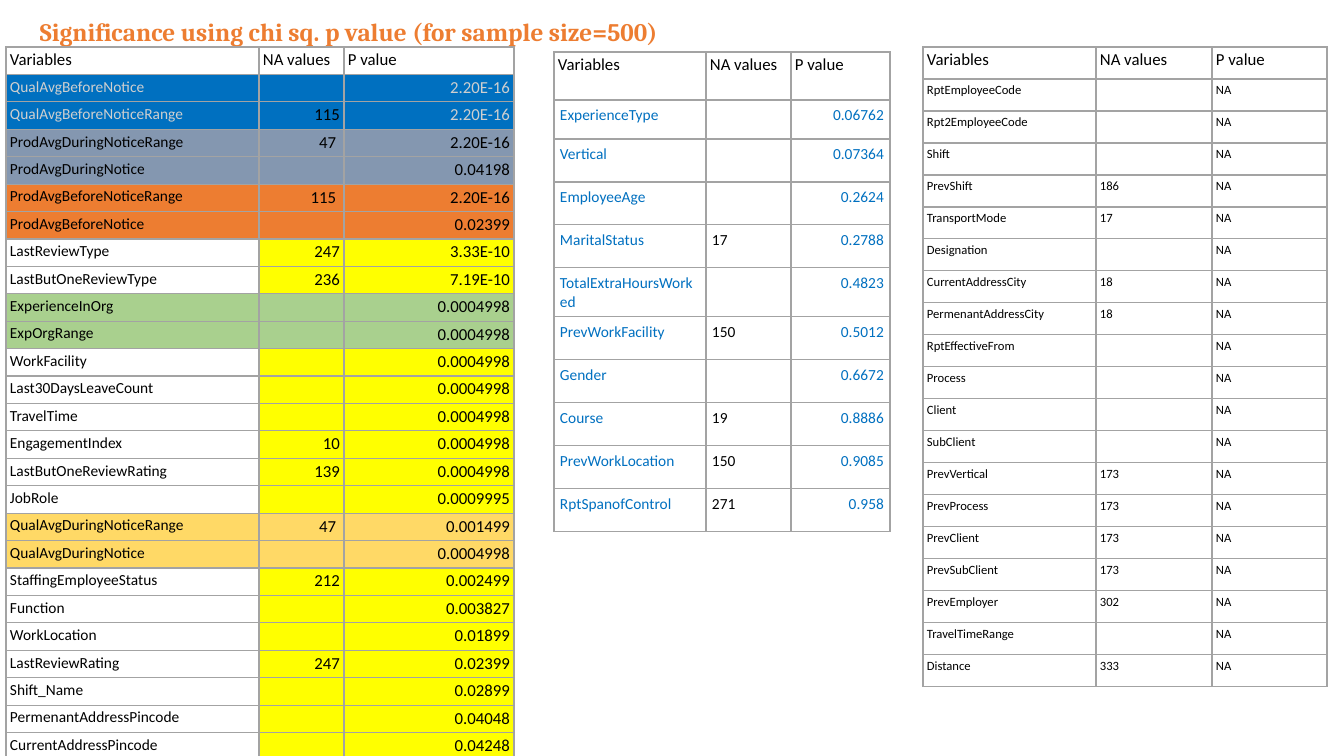
import pptx
import pptx.dml.color
import pptx.enum.text
import pptx.oxml
import pptx.oxml.ns
import pptx.util

PX_PER_INCH = 100.8
COLORS = {
    "black": "000000", "title": "ED7D31", "border": "A3A3A3",
    "pale": "CFCFCF", "blue": "0070C0", "slate": "8497B0",
    "orange": "ED7D31", "yellow": "FFFF00", "green": "A9D08E",
    "gold": "FFD966",
}
LEFT = pptx.enum.text.PP_ALIGN.LEFT
RIGHT = pptx.enum.text.PP_ALIGN.RIGHT
HEADER = ("Variables", "NA values", "P value")

# Name, NA values, p value, row highlight (None: only the numbers, in yellow)
SIGNIFICANT = [
    ("QualAvgBeforeNotice", "", "2.20E-16", "blue"),
    ("QualAvgBeforeNoticeRange", "115", "2.20E-16", "blue"),
    ("ProdAvgDuringNoticeRange", "47 ", "2.20E-16", "slate"),
    ("ProdAvgDuringNotice", "", "0.04198", "slate"),
    ("ProdAvgBeforeNoticeRange", "115 ", "2.20E-16", "orange"),
    ("ProdAvgBeforeNotice", "", "0.02399", "orange"),
    ("LastReviewType", "247", "3.33E-10", None),
    ("LastButOneReviewType", "236", "7.19E-10", None),
    ("ExperienceInOrg", "", "0.0004998", "green"),
    ("ExpOrgRange", "", "0.0004998", "green"),
    ("WorkFacility", "", "0.0004998", None),
    ("Last30DaysLeaveCount", "", "0.0004998", None),
    ("TravelTime", "", "0.0004998", None),
    ("EngagementIndex", "10", "0.0004998", None),
    ("LastButOneReviewRating", "139", "0.0004998", None),
    ("JobRole", "", "0.0009995", None),
    ("QualAvgDuringNoticeRange", "47 ", "0.001499", "gold"),
    ("QualAvgDuringNotice", "", "0.0004998", "gold"),
    ("StaffingEmployeeStatus", "212", "0.002499", None),
    ("Function", "", "0.003827", None),
    ("WorkLocation", "", "0.01899", None),
    ("LastReviewRating", "247", "0.02399", None),
    ("Shift_Name", "", "0.02899", None),
    ("PermenantAddressPincode", "", "0.04048", None),
    ("CurrentAddressPincode", "", "0.04248", None),
]
NOT_SIGNIFICANT = [
    ("ExperienceType", "", "0.06762"),
    ("Vertical", "", "0.07364"),
    ("EmployeeAge", "", "0.2624"),
    ("MaritalStatus", "17", "0.2788"),
    ("TotalExtraHoursWorked", "", "0.4823"),
    ("PrevWorkFacility", "150", "0.5012"),
    ("Gender", "", "0.6672"),
    ("Course", "19", "0.8886"),
    ("PrevWorkLocation", "150", "0.9085"),
    ("RptSpanofControl", "271", "0.958"),
]
# Every p value here is NA
UNTESTED = [
    ("RptEmployeeCode", ""), ("Rpt2EmployeeCode", ""), ("Shift", ""),
    ("PrevShift", "186"), ("TransportMode", "17"), ("Designation", ""),
    ("CurrentAddressCity", "18"), ("PermenantAddressCity", "18"),
    ("RptEffectiveFrom", ""), ("Process", ""), ("Client", ""),
    ("SubClient", ""), ("PrevVertical", "173"), ("PrevProcess", "173"),
    ("PrevClient", "173"), ("PrevSubClient", "173"),
    ("PrevEmployer", "302"), ("TravelTimeRange", ""), ("Distance", "333"),
]


def px(value):
    return round(value * 914400 / PX_PER_INCH)


def rgb(name):
    return pptx.dml.color.RGBColor.from_string(COLORS[name])


def add_run(p, text, size, color, font="Calibri", bold=False):
    r = p.add_run()
    r.text = text
    r.font.size = pptx.util.Pt(size)
    r.font.name = font
    r.font.bold = bold
    r.font.color.rgb = rgb(color)


def set_borders(cell):
    tc_pr = cell._tc.get_or_add_tcPr()
    for i, side in enumerate(("lnL", "lnR", "lnT", "lnB")):
        tc_pr.insert(i, pptx.oxml.parse_xml(
            f'<a:{side} {pptx.oxml.ns.nsdecls("a")} w="12700"><a:solidFill>'
            f'<a:srgbClr val="{COLORS["border"]}"/></a:solidFill></a:{side}>'))


def fill_cell(cell, text, size, color="black", fill=None, align=LEFT, inset=(4, 3)):
    cell.margin_left = cell.margin_right = px(inset[0])
    cell.margin_top = cell.margin_bottom = px(inset[1])
    if fill:
        cell.fill.solid()
        cell.fill.fore_color.rgb = rgb(fill)
    else:
        cell.fill.background()
    set_borders(cell)
    p = cell.text_frame.paragraphs[0]
    p.alignment = align
    if text:
        add_run(p, text, size, color)
    else:
        # Keeps an empty cell from stretching its row
        p._p.get_or_add_endParaRPr().set("sz", str(size * 100))


def add_grid(s, left, top, widths, heights):
    """Add a table with its header row filled in."""
    frame = s.shapes.add_table(len(heights), len(widths), px(left), px(top),
                               px(sum(widths)), px(sum(heights)))
    table = frame.table
    table.first_row = table.horz_banding = False
    for column, width in zip(table.columns, widths):
        column.width = px(width)
    for row, height in zip(table.rows, heights):
        row.height = px(height)
    for i, text in enumerate(HEADER):
        fill_cell(table.cell(0, i), text, 12)
    return table


def add_title(s, text):
    sp = s.shapes.add_textbox(px(30), px(19), px(1109), px(29))
    tf = sp.text_frame
    tf.word_wrap = True
    tf.vertical_anchor = pptx.enum.text.MSO_ANCHOR.MIDDLE
    p = tf.paragraphs[0]
    p.line_spacing = 0.9
    add_run(p, text, 18, "title", "Cambria", True)


def add_significant(s):
    count = len(SIGNIFICANT) + 1
    table = add_grid(s, 6, 47, (253, 85, 170), [713 / count] * count)
    for i, (name, missing, p_value, fill) in enumerate(SIGNIFICANT, 1):
        color = "pale" if fill == "blue" else "black"
        number_fill = fill or "yellow"
        fill_cell(table.cell(i, 0), name, 11, color, fill)
        fill_cell(table.cell(i, 1), missing, 12, "black", number_fill, RIGHT)
        fill_cell(table.cell(i, 2), p_value, 12, color, number_fill, RIGHT)


def add_not_significant(s):
    heights = [48, 39] + [43] * (len(NOT_SIGNIFICANT) - 1)
    table = add_grid(s, 554, 52, (152, 85, 99), heights)
    for i, row in enumerate(NOT_SIGNIFICANT, 1):
        for j, (text, color, align) in enumerate(
                zip(row, ("blue", "black", "blue"), (LEFT, LEFT, RIGHT))):
            fill_cell(table.cell(i, j), text, 11, color, None, align, (6, 6))


def add_untested(s):
    table = add_grid(s, 923, 47, (173, 116, 115), [32] * (len(UNTESTED) + 1))
    for i, row in enumerate(UNTESTED, 1):
        for j, text in enumerate((*row, "NA")):
            fill_cell(table.cell(i, j), text, 9, inset=(4, 4))


def main():
    prs = pptx.Presentation()
    prs.slide_width = px(1344)
    prs.slide_height = px(756)
    s = prs.slides.add_slide(prs.slide_layouts[6])
    add_title(s, "Significance using chi sq. p value (for sample size=500)")
    add_significant(s)
    add_not_significant(s)
    add_untested(s)
    prs.save("out.pptx")


main()
